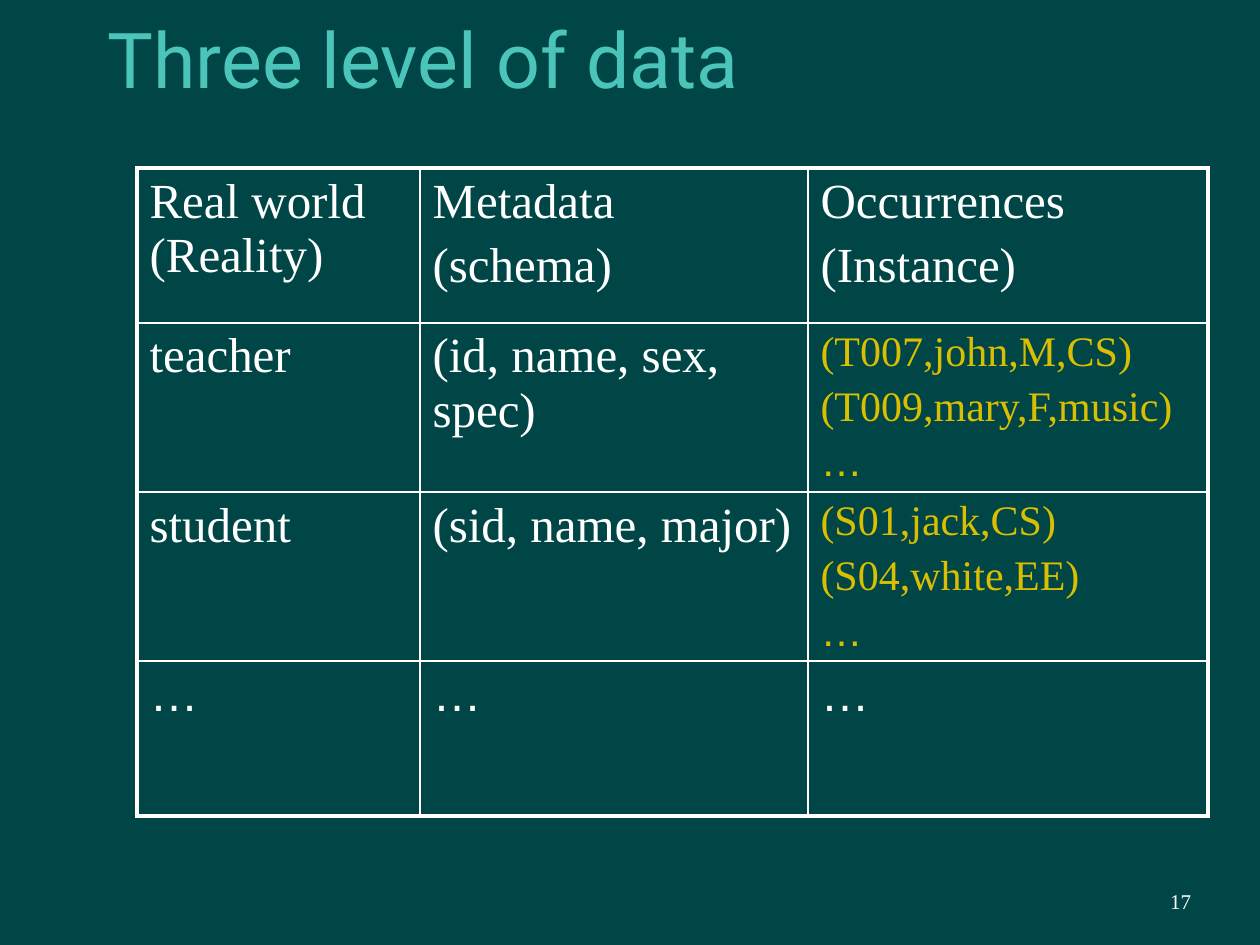
"""Build a slide that tabulates the three levels of data."""
from lxml import etree
from pptx import Presentation
from pptx.dml.color import RGBColor
from pptx.enum.text import MSO_ANCHOR, MSO_AUTO_SIZE, PP_ALIGN
from pptx.oxml.ns import qn
from pptx.util import Pt

PX = 914400 / 126
BACKGROUND = RGBColor(0x00, 0x46, 0x46)
TEAL = RGBColor(0x4B, 0xC5, 0xB9)
WHITE = RGBColor(0xFF, 0xFF, 0xFF)
YELLOW = RGBColor(0xD9, 0xBE, 0x02)
LEFT, RIGHT = PP_ALIGN.LEFT, PP_ALIGN.RIGHT
TOP, MIDDLE = MSO_ANCHOR.TOP, MSO_ANCHOR.MIDDLE
NO_AUTOFIT = MSO_AUTO_SIZE.NONE

SERIF = "Times New Roman"
ELLIPSIS = "…"
ELLIPSIS_FONT = "Arial"
TITLE_FORMAT = {"name": "Roboto", "size": 44, "color": TEAL}
CELL_FORMAT = {"name": SERIF, "size": 28, "color": WHITE}
INSTANCE_FORMAT = {"name": SERIF, "size": 24, "color": YELLOW}
NUMBER_FORMAT = {"name": SERIF, "size": 12, "color": WHITE}

COLUMN_WIDTHS = (283, 388, 400)
ROW_HEIGHT = 155
OUTER_BORDER, INNER_BORDER = 2.25, 1
LEVELS = (
    (("Real world", "(Reality)"), ("Metadata", "(schema)"), ("Occurrences", "(Instance)")),
    (("teacher",), ("(id, name, sex, spec)",), ("(T007,john,M,CS)", "(T009,mary,F,music)", ELLIPSIS)),
    (("student",), ("(sid, name, major)",), ("(S01,jack,CS)", "(S04,white,EE)", ELLIPSIS)),
    ((ELLIPSIS,), (ELLIPSIS,), (ELLIPSIS,)),
)


def emu(pixels):
    """Turn pixels into EMU."""
    return round(pixels * PX)


def set_attributes(target, values):
    """Set each named attribute of the target."""
    for name, value in values.items():
        setattr(target, name, value)


def place(shape, left, top, width, height):
    """Position and size a shape in pixels."""
    box = {"left": left, "top": top, "width": width, "height": height}
    set_attributes(shape, {side: emu(length) for side, length in box.items()})


def write_lines(frame, lines, style, align=LEFT, gap=0):
    """Write one formatted paragraph per line."""
    for index, line in enumerate(lines):
        paragraph = frame.add_paragraph() if index else frame.paragraphs[0]
        set_attributes(paragraph, {"alignment": align, "space_before": Pt(gap if index else 0)})
        run = paragraph.add_run()
        run.text = line
        name = ELLIPSIS_FONT if line == ELLIPSIS else style["name"]
        set_attributes(run.font, {"name": name, "size": Pt(style["size"])})
        run.font.color.rgb = style["color"]


def add_border(cell, side, width):
    """Draw one white border of a cell."""
    properties = cell._tc.get_or_add_tcPr()
    line = etree.SubElement(properties, qn(f"a:{side}"), w=str(Pt(width)))
    fill = etree.SubElement(line, qn("a:solidFill"))
    etree.SubElement(fill, qn("a:srgbClr"), val=str(WHITE))


def format_cell(cell, row, column):
    """Give a cell its borders, fill and text."""
    outer_sides = {
        "lnL": column == 0,
        "lnR": column == len(COLUMN_WIDTHS) - 1,
        "lnT": row == 0,
        "lnB": row == len(LEVELS) - 1,
    }
    for side, is_outer in outer_sides.items():
        add_border(cell, side, OUTER_BORDER if is_outer else INNER_BORDER)
    cell.fill.background()
    cell.vertical_anchor = TOP
    lines = LEVELS[row][column]
    style = INSTANCE_FORMAT if len(lines) == 3 else CELL_FORMAT
    write_lines(cell.text_frame, lines, style, gap=0.2 * style["size"] if column else 0)


def add_title(slide):
    """Fill the title placeholder."""
    title = slide.shapes.title
    place(title, 95, 0, 1071, 116)
    set_attributes(title.text_frame, {"vertical_anchor": MIDDLE, "auto_size": NO_AUTOFIT})
    write_lines(title.text_frame, ["Three level of data"], TITLE_FORMAT)


def add_levels_table(slide):
    """Add the table of levels."""
    bounds = (137, 168, sum(COLUMN_WIDTHS), ROW_HEIGHT * len(LEVELS))
    table = slide.shapes.add_table(len(LEVELS), len(COLUMN_WIDTHS), *map(emu, bounds)).table
    set_attributes(table, {"first_row": False, "horz_banding": False})
    for column, width in zip(table.columns, COLUMN_WIDTHS):
        column.width = emu(width)
    for row in range(len(LEVELS)):
        table.rows[row].height = emu(ROW_HEIGHT)
        for column in range(len(COLUMN_WIDTHS)):
            format_cell(table.cell(row, column), row, column)


def add_page_number(slide):
    """Add the page number at the bottom right."""
    frame = slide.shapes.add_textbox(*map(emu, (903, 876, 294, 50))).text_frame
    inset = emu(6)
    set_attributes(frame, {"word_wrap": True, "vertical_anchor": MIDDLE,
                           "margin_left": inset, "margin_right": inset})
    write_lines(frame, ["17"], NUMBER_FORMAT, RIGHT)


def main():
    """Build and save the slide."""
    presentation = Presentation()
    set_attributes(presentation, {"slide_width": emu(1260), "slide_height": emu(945)})
    slide = presentation.slides.add_slide(presentation.slide_layouts[5])
    slide.background.fill.solid()
    slide.background.fill.fore_color.rgb = BACKGROUND
    add_title(slide)
    add_levels_table(slide)
    add_page_number(slide)
    presentation.save("out.pptx")


if __name__ == "__main__":
    main()
